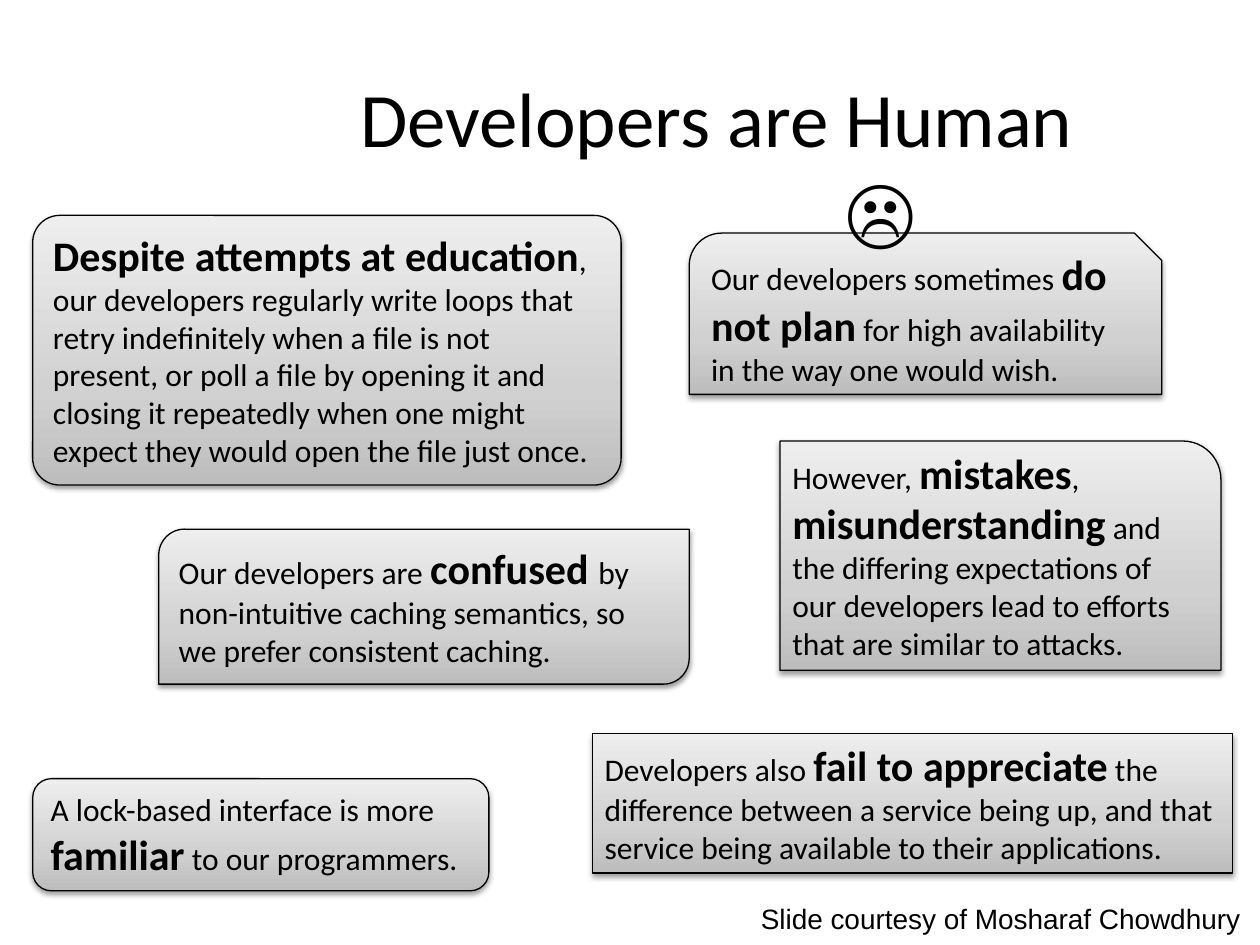
from pptx import Presentation
from pptx.dml.color import RGBColor
from pptx.enum.shapes import MSO_SHAPE
from pptx.enum.text import MSO_ANCHOR, PP_ALIGN
from pptx.oxml import parse_xml
from pptx.oxml.ns import nsdecls
from pptx.util import Inches, Pt

COLORS = {"ink": "000000", "paper": "FFFFFF",
          "dark": "BDBDBD", "mid": "D1D1D1", "light": "EEEEEE"}
STOPS = [(0, "dark"), (35, "mid"), (100, "light")]

stops = "".join(
    f'<a:gs pos="{pos * 1000}"><a:srgbClr val="{COLORS[name]}"/></a:gs>'
    for pos, name in STOPS)
GRAD = (f'<a:gradFill {nsdecls("a")} rotWithShape="1"><a:gsLst>{stops}</a:gsLst>'
        '<a:lin ang="16200000" scaled="0"/></a:gradFill>')
SHADOW = (f'<a:outerShdw {nsdecls("a")} blurRad="{Pt(3.1)}" dist="{Pt(1.6)}" '
          'dir="5400000" rotWithShape="0">'
          f'<a:srgbClr val="{COLORS["ink"]}"><a:alpha val="38000"/></a:srgbClr>'
          '</a:outerShdw>')

prs = Presentation()
prs.slide_width, prs.slide_height = Inches(10), Inches(7.5)
slide = prs.slides.add_slide(prs.slide_layouts[6])


def write(shape, text, size, face="Calibri", align=PP_ALIGN.LEFT, wrap=True):
    """Fill a shape with text; parts between asterisks are large and bold."""
    frame = shape.text_frame
    frame.word_wrap = wrap
    frame.vertical_anchor = MSO_ANCHOR.TOP
    para = frame.paragraphs[0]
    para.alignment = align
    para.font.name = face
    para.font.size = Pt(size)
    para.font.color.rgb = RGBColor.from_string(COLORS["ink"])
    for i, part in enumerate(text.split("*")):
        if part:
            run = para.add_run()
            run.text = part
            if i % 2:
                run.font.bold = True
                run.font.size = Pt(24)


# Title
title = slide.shapes.add_textbox(Inches(0.5), Inches(0.3), Inches(9), Inches(1.25))
write(title, "Developers are …", 44, align=PP_ALIGN.CENTER)
title.text_frame.vertical_anchor = MSO_ANCHOR.MIDDLE

# Quote cards: preset, place and size, adjustments, text
CARDS = [
    (MSO_SHAPE.SNIP_ROUND_RECTANGLE, (5.47, 1.85, 3.75, 1.28), (0.2, 0.17),
     "Our developers sometimes *do not plan* for high availability "
     "in the way one would wish."),
    (MSO_SHAPE.ROUNDED_RECTANGLE, (0.26, 6.18, 3.62, 0.89), (),
     "A lock-based interface is more *familiar* to our programmers."),
    (MSO_SHAPE.ROUND_2_DIAG_RECTANGLE, (1.26, 4.2, 4.21, 1.23), (),
     "Our developers are *confused *by non-intuitive caching semantics, "
     "so we prefer consistent caching."),
    (MSO_SHAPE.ROUND_1_RECTANGLE, (6.19, 3.5, 3.5, 1.82), (),
     "However, *mistakes*, *misunderstanding* and the differing expectations "
     "of our developers lead to efforts that are similar to attacks."),
    (MSO_SHAPE.ROUNDED_RECTANGLE, (0.26, 1.71, 4.67, 2.14), (0.1,),
     "*Despite attempts at education*, our developers regularly write loops "
     "that retry indefinitely when a file is not present, or poll a file by "
     "opening it and closing it repeatedly when one might expect they would "
     "open the file just once."),
    (MSO_SHAPE.RECTANGLE, (4.7, 5.82, 5.08, 1.11), (),
     "Developers also *fail to appreciate* the difference between a service "
     "being up, and that service being available to their applications."),
]
for kind, box, adjust, text in CARDS:
    card = slide.shapes.add_shape(kind, *map(Inches, box))
    for i, value in enumerate(adjust):
        card.adjustments[i] = value
    card.line.color.rgb = RGBColor.from_string(COLORS["ink"])
    card.line.width = Pt(0.75)
    card.shadow.inherit = False
    props = card.element.spPr
    props.insert(2, parse_xml(GRAD))  # directly after the geometry
    props[-1].append(parse_xml(SHADOW))  # into the effect list
    write(card, text, 18)

# Punch line over the end of the title
punch = slide.shapes.add_shape(
    MSO_SHAPE.RECTANGLE, Inches(6.61), Inches(0.51), Inches(2.68), Inches(0.84))
punch.shadow.inherit = False
punch.fill.solid()
punch.fill.fore_color.rgb = RGBColor.from_string(COLORS["paper"])
punch.line.fill.background()
write(punch, "Human ☹", 44)

# Credit
credit = slide.shapes.add_textbox(
    Inches(5.94), Inches(7.11), Inches(4.06), Inches(0.37))
write(credit, "Slide courtesy of Mosharaf Chowdhury", 16, "Arial", wrap=False)

prs.save("out.pptx")
